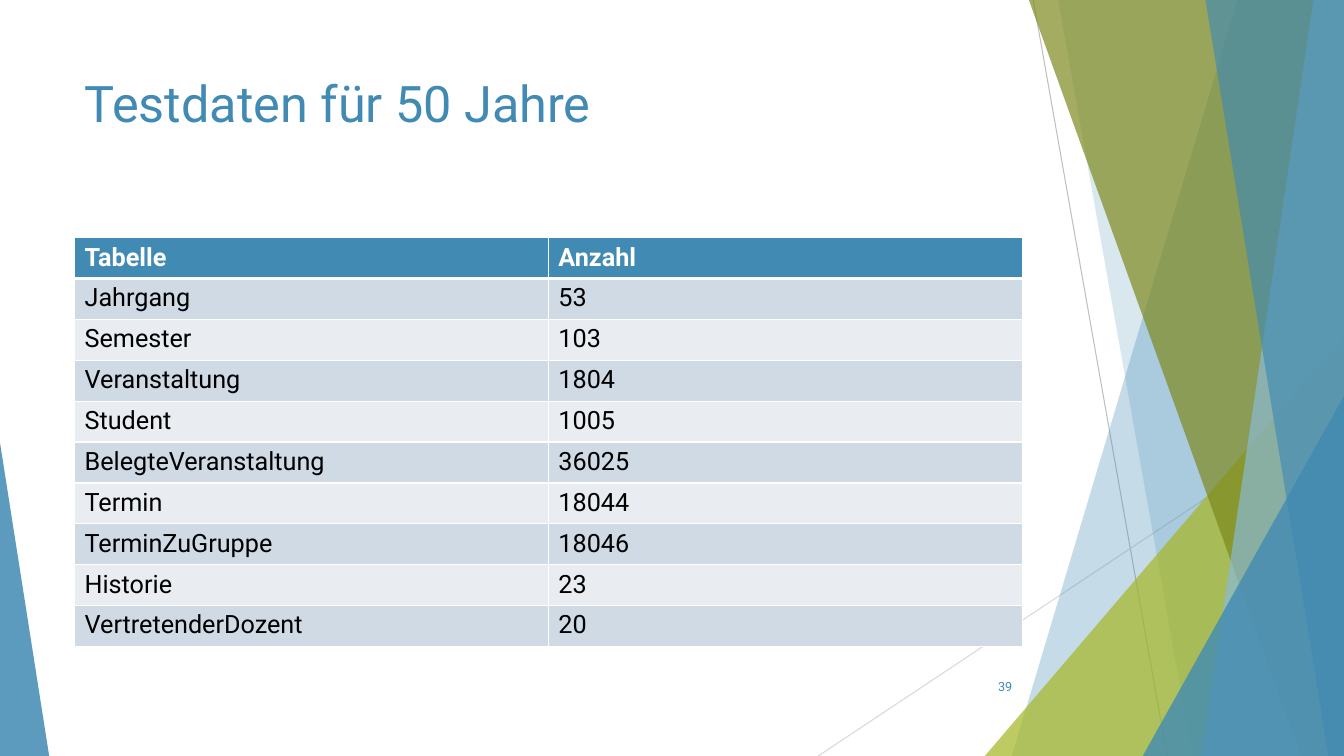
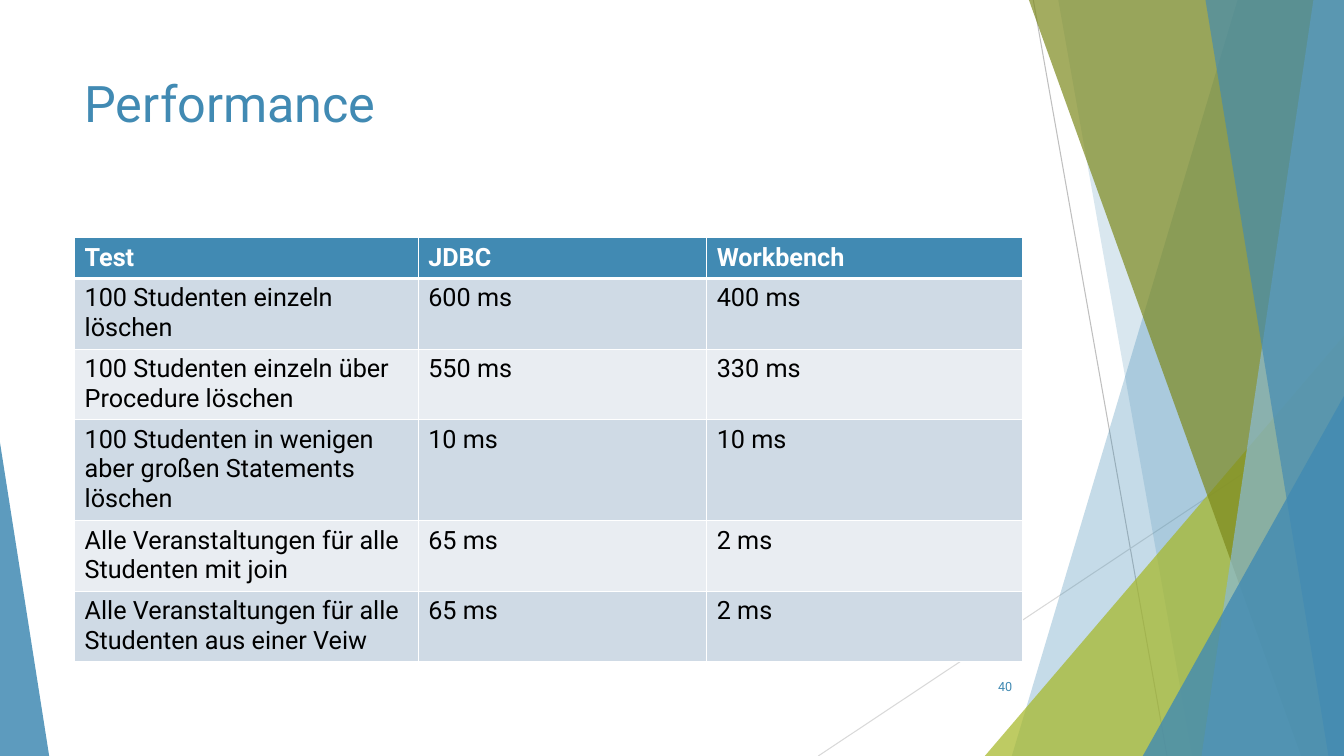
from dataclasses import dataclass

from lxml.etree import SubElement
from pptx import Presentation
from pptx.dml.color import RGBColor
from pptx.enum.shapes import MSO_CONNECTOR, MSO_SHAPE
from pptx.enum.text import MSO_ANCHOR, PP_ALIGN
from pptx.oxml import parse_xml
from pptx.oxml.ns import nsdecls, qn
from pptx.util import Cm, Pt

# Content: title, page number, column widths in cm, rows (header first)
SLIDES = [
    {
        "title": "Testdaten für 50 Jahre",
        "number": 39,
        "widths": [11.94, 11.94],
        "rows": [
            ("Tabelle", "Anzahl"),
            ("Jahrgang", "53"),
            ("Semester", "103"),
            ("Veranstaltung", "1804"),
            ("Student", "1005"),
            ("BelegteVeranstaltung", "36025"),
            ("Termin", "18044"),
            ("TerminZuGruppe", "18046"),
            ("Historie", "23"),
            ("VertretenderDozent", "20"),
        ],
    },
    {
        "title": "Performance",
        "number": 40,
        "widths": [8.66, 7.27, 7.95],
        "rows": [
            ("Test", "JDBC", "Workbench"),
            ("100 Studenten einzeln löschen", "600 ms", "400 ms"),
            ("100 Studenten einzeln über Procedure löschen", "550 ms", "330 ms"),
            ("100 Studenten in wenigen aber großen Statements löschen", "10 ms", "10 ms"),
            ("Alle Veranstaltungen für alle Studenten mit join", "65 ms", "2 ms"),
            ("Alle Veranstaltungen für alle Studenten aus einer Veiw", "65 ms", "2 ms"),
        ],
    },
]


# Theme
@dataclass(frozen=True)
class Theme:
    font: str = "Roboto"
    blue: str = "418AB3"
    light_blue: str = "8ABAD4"
    green: str = "A6B727"
    olive: str = "7D891D"
    white: str = "FFFFFF"
    black: str = "000000"
    line_dark: str = "BFBFBF"
    line_light: str = "D9D9D9"
    row_odd: str = "CFDAE5"
    row_even: str = "E9EDF2"
    title_size: int = 36
    table_size: int = 18
    number_size: int = 9


T = Theme()
WIDTH, HEIGHT = 33.87, 19.05
LEFT, CONTENT_WIDTH = 1.88, 23.88
TABLE_TOP, ROW_HEIGHT = 5.99, 1.03

# Decoration in cm, back to front
LINES = [  # start x, start y, end x, end y, colour
    (26.04, 0, 29.41, HEIGHT, T.line_dark),
    (WIDTH, 10.24, 20.62, HEIGHT, T.line_light),
]
DECOR = [  # kind, two measures, colour, opacity in percent
    # band: left edge at top and at bottom, filled to the right slide edge
    # right / left: width and top of a triangle in that bottom corner
    ("band", 31.19, 25.5, T.blue, 30),
    ("band", 26.67, 30.05, T.blue, 20),
    ("right", 9.05, 8.46, T.green, 72),
    ("band", 25.93, 32.79, T.olive, 70),
    ("band", 33.1, 30.28, T.light_blue, 70),
    ("band", 30.38, 33.48, T.blue, 65),
    ("right", 5.07, 9.98, T.blue, 80),
    ("left", 1.24, 11.15, T.blue, 85),
]


def rgb(color):
    return RGBColor.from_string(color)


def add_line(s, x1, y1, x2, y2, color):
    line = s.shapes.add_connector(MSO_CONNECTOR.STRAIGHT, Cm(x1), Cm(y1), Cm(x2), Cm(y2))
    line.line.color.rgb = rgb(color)
    line.line.width = Pt(0.75)
    SubElement(line._element.spPr, qn("a:effectLst"))


def add_band(s, top_x, bottom_x):
    outline = s.shapes.build_freeform(Cm(top_x), 0)
    outline.add_line_segments(
        [(Cm(WIDTH), 0), (Cm(WIDTH), Cm(HEIGHT)), (Cm(bottom_x), Cm(HEIGHT))])
    return outline.convert_to_shape()


def add_corner(s, side, width, top):
    x = WIDTH - width if side == "right" else 0
    sp = s.shapes.add_shape(MSO_SHAPE.ISOSCELES_TRIANGLE,
                            Cm(x), Cm(top), Cm(width), Cm(HEIGHT - top))
    sp.adjustments[0] = 1 if side == "right" else 0
    return sp


def add_decor(s):
    for line in LINES:
        add_line(s, *line)
    for kind, a, b, color, opacity in DECOR:
        sp = add_band(s, a, b) if kind == "band" else add_corner(s, kind, a, b)
        sp.shadow.inherit = False
        sp.line.fill.background()
        sp.fill.solid()
        sp.fill.fore_color.rgb = rgb(color)
        clr = sp._element.spPr.find(qn("a:solidFill")).find(qn("a:srgbClr"))
        SubElement(clr, qn("a:alpha"), val=str(opacity * 1000))


def set_font(p, size, color, bold=False):
    p.font.name = T.font
    p.font.size = Pt(size)
    p.font.bold = bold
    p.font.color.rgb = rgb(color)


def add_text(s, text, box, size, anchor=MSO_ANCHOR.TOP, align=PP_ALIGN.LEFT):
    tf = s.shapes.add_textbox(*map(Cm, box)).text_frame
    tf.word_wrap = True
    tf.vertical_anchor = anchor
    p = tf.paragraphs[0]
    p.text = text
    p.alignment = align
    set_font(p, size, T.blue)


def set_borders(cell, top, bottom):
    tcPr = cell._tc.get_or_add_tcPr()
    for i, (side, width) in enumerate({"L": 1, "R": 1, "T": top, "B": bottom}.items()):
        tcPr.insert(i, parse_xml(
            f'<a:ln{side} {nsdecls("a")} w="{Pt(width)}"><a:solidFill>'
            f'<a:srgbClr val="{T.white}"/></a:solidFill></a:ln{side}>'))


def add_data_table(s, rows, widths):
    table = s.shapes.add_table(len(rows), len(widths), Cm(LEFT), Cm(TABLE_TOP),
                               Cm(CONTENT_WIDTH), Cm(ROW_HEIGHT * len(rows))).table
    for column, width in zip(table.columns, widths):
        column.width = Cm(width)
    for i, row in enumerate(rows):
        header = i == 0
        fill = T.blue if header else T.row_odd if i % 2 else T.row_even
        for j, text in enumerate(row):
            cell = table.cell(i, j)
            cell.text = text
            set_font(cell.text_frame.paragraphs[0], T.table_size,
                     T.white if header else T.black, header)
            cell.fill.solid()
            cell.fill.fore_color.rgb = rgb(fill)
            # A thicker rule separates the header from the body
            set_borders(cell, top=3 if i == 1 else 1, bottom=3 if header else 1)


def main():
    prs = Presentation()
    prs.slide_width, prs.slide_height = Cm(WIDTH), Cm(HEIGHT)
    for content in SLIDES:
        s = prs.slides.add_slide(prs.slide_layouts[6])
        add_decor(s)
        add_text(s, content["title"], (LEFT, 1.7, CONTENT_WIDTH, 3.66), T.title_size)
        add_data_table(s, content["rows"], content["widths"])
        add_text(s, str(content["number"]), (23.85, 16.79, 1.91, 1.02), T.number_size,
                 MSO_ANCHOR.MIDDLE, PP_ALIGN.RIGHT)
    prs.save("out.pptx")


if __name__ == "__main__":
    main()
